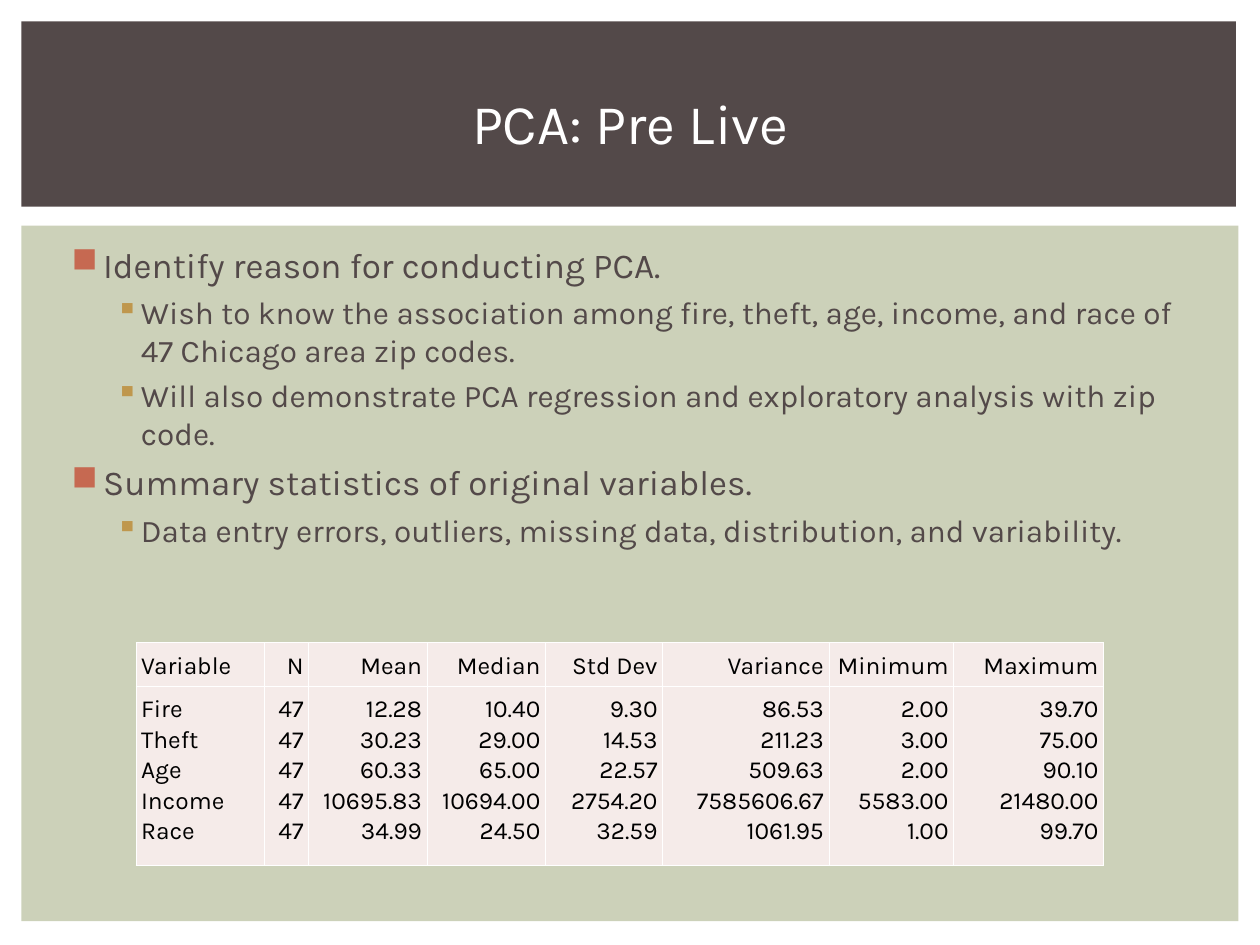
from lxml.etree import SubElement
from pptx import Presentation
from pptx.dml.color import RGBColor
from pptx.enum.shapes import MSO_SHAPE
from pptx.enum.text import MSO_ANCHOR, PP_ALIGN
from pptx.oxml.ns import qn
from pptx.util import Inches, Pt

FONT = "Karla"
COLORS = {
    "panel": "CCD1B9",
    "banner": "534949",
    "body": "534949",
    "title": "FFFFFF",
    "topic_bullet": "C66951",
    "detail_bullet": "BF974D",
    "cell": "F5EBE9",
    "border": "FFFFFF",
    "table_text": "000000",
}
LEVELS = [
    {"size": 20, "margin": 0.3, "hang": 0.25, "before": 5,
     "bullet": "■", "color": "topic_bullet"},
    {"size": 18, "margin": 0.6, "hang": 0.2, "before": 4.5,
     "bullet": "▪", "color": "detail_bullet"},
]
OUTLINE = [
    (0, "Identify reason for conducting PCA."),
    (1, "Wish to know the association among fire, theft, age, income, "
        "and race of 47 Chicago area zip codes."),
    (1, "Will also demonstrate PCA regression and exploratory analysis "
        "with zip code."),
    (0, "Summary statistics of original variables."),
    (1, "Data entry errors, outliers, missing data, distribution, "
        "and variability."),
]
STATISTICS = [
    ("Variable", 1.02, ["Fire", "Theft", "Age", "Income", "Race"]),
    ("N", 0.35, ["47"] * 5),
    ("Mean", 0.94, ["12.28", "30.23", "60.33", "10695.83", "34.99"]),
    ("Median", 0.94, ["10.40", "29.00", "65.00", "10694.00", "24.50"]),
    ("Std Dev", 0.93, ["9.30", "14.53", "22.57", "2754.20", "32.59"]),
    ("Variance", 1.32, ["86.53", "211.23", "509.63", "7585606.67", "1061.95"]),
    ("Minimum", 0.99, ["2.00", "3.00", "2.00", "5583.00", "1.00"]),
    ("Maximum", 1.19, ["39.70", "75.00", "90.10", "21480.00", "99.70"]),
]
ROW_HEIGHTS = [0.28, 1.42]


def rgb(role):
    return RGBColor.from_string(COLORS[role])


def set_font(paragraph, size, role):
    paragraph.font.name = FONT
    paragraph.font.size = Pt(size)
    paragraph.font.color.rgb = rgb(role)


def add_band(slide, bounds, role):
    band = slide.shapes.add_shape(MSO_SHAPE.RECTANGLE, *map(Inches, bounds))
    band.shadow.inherit = False
    band.fill.solid()
    band.fill.fore_color.rgb = rgb(role)
    band.line.fill.background()


def add_text_frame(slide, bounds):
    frame = slide.shapes.add_textbox(*map(Inches, bounds)).text_frame
    frame.word_wrap = True
    return frame


def add_title(slide, text):
    frame = add_text_frame(slide, (0.42, 0.39, 9.17, 1.15))
    frame.vertical_anchor = MSO_ANCHOR.MIDDLE
    title = frame.paragraphs[0]
    title.text = text
    title.alignment = PP_ALIGN.CENTER
    set_font(title, 32, "title")


def set_bullet(paragraph, style):
    properties = paragraph._p.get_or_add_pPr()
    properties.set("marL", str(Inches(style["margin"])))
    properties.set("indent", str(-Inches(style["hang"])))
    color = SubElement(properties, qn("a:buClr"))
    SubElement(color, qn("a:srgbClr"), val=COLORS[style["color"]])
    SubElement(properties, qn("a:buChar"), char=style["bullet"])


def add_outline(slide):
    frame = add_text_frame(slide, (0.42, 1.88, 9.19, 4.82))
    for index, (level, text) in enumerate(OUTLINE):
        style = LEVELS[level]
        point = frame.add_paragraph() if index else frame.paragraphs[0]
        point.text = text
        point.level = level
        if index:
            point.space_before = Pt(style["before"])
        set_bullet(point, style)
        set_font(point, style["size"], "body")


def set_borders(cell):
    properties = cell._tc.get_or_add_tcPr()
    for side in ("lnL", "lnR", "lnT", "lnB"):
        border = SubElement(properties, qn(f"a:{side}"), w=str(Pt(0.45)))
        fill = SubElement(border, qn("a:solidFill"))
        SubElement(fill, qn("a:srgbClr"), val=COLORS["border"])


def fill_cell(cell, text, alignment, anchor):
    set_borders(cell)
    cell.fill.solid()
    cell.fill.fore_color.rgb = rgb("cell")
    cell.margin_left = cell.margin_right = Inches(0.04)
    cell.margin_top = cell.margin_bottom = Inches(0.05)
    cell.vertical_anchor = anchor
    entry = cell.text_frame.paragraphs[0]
    entry.text = text
    entry.alignment = alignment
    entry.line_spacing = 1.07
    set_font(entry, 14, "table_text")


def add_statistics(slide):
    width = sum(column_width for _, column_width, _ in STATISTICS)
    table = slide.shapes.add_table(
        len(ROW_HEIGHTS), len(STATISTICS), Inches(1.08), Inches(5.1),
        Inches(width), Inches(sum(ROW_HEIGHTS))).table
    for row, height in zip(table.rows, ROW_HEIGHTS):
        row.height = Inches(height)
    for column, (heading, column_width, values) in enumerate(STATISTICS):
        table.columns[column].width = Inches(column_width)
        alignment = PP_ALIGN.RIGHT if column else PP_ALIGN.LEFT
        fill_cell(table.cell(0, column), heading, alignment, MSO_ANCHOR.BOTTOM)
        fill_cell(table.cell(1, column), "\v".join(values), alignment,
                  MSO_ANCHOR.TOP)


def main():
    presentation = Presentation()
    presentation.slide_width = Inches(10)
    presentation.slide_height = Inches(7.5)
    slide = presentation.slides.add_slide(presentation.slide_layouts[6])
    add_band(slide, (0.17, 1.79, 9.66, 5.52), "panel")
    add_band(slide, (0.17, 0.17, 9.64, 1.47), "banner")
    add_outline(slide)
    add_title(slide, "PCA: Pre Live")
    add_statistics(slide)
    presentation.save("out.pptx")


if __name__ == "__main__":
    main()
